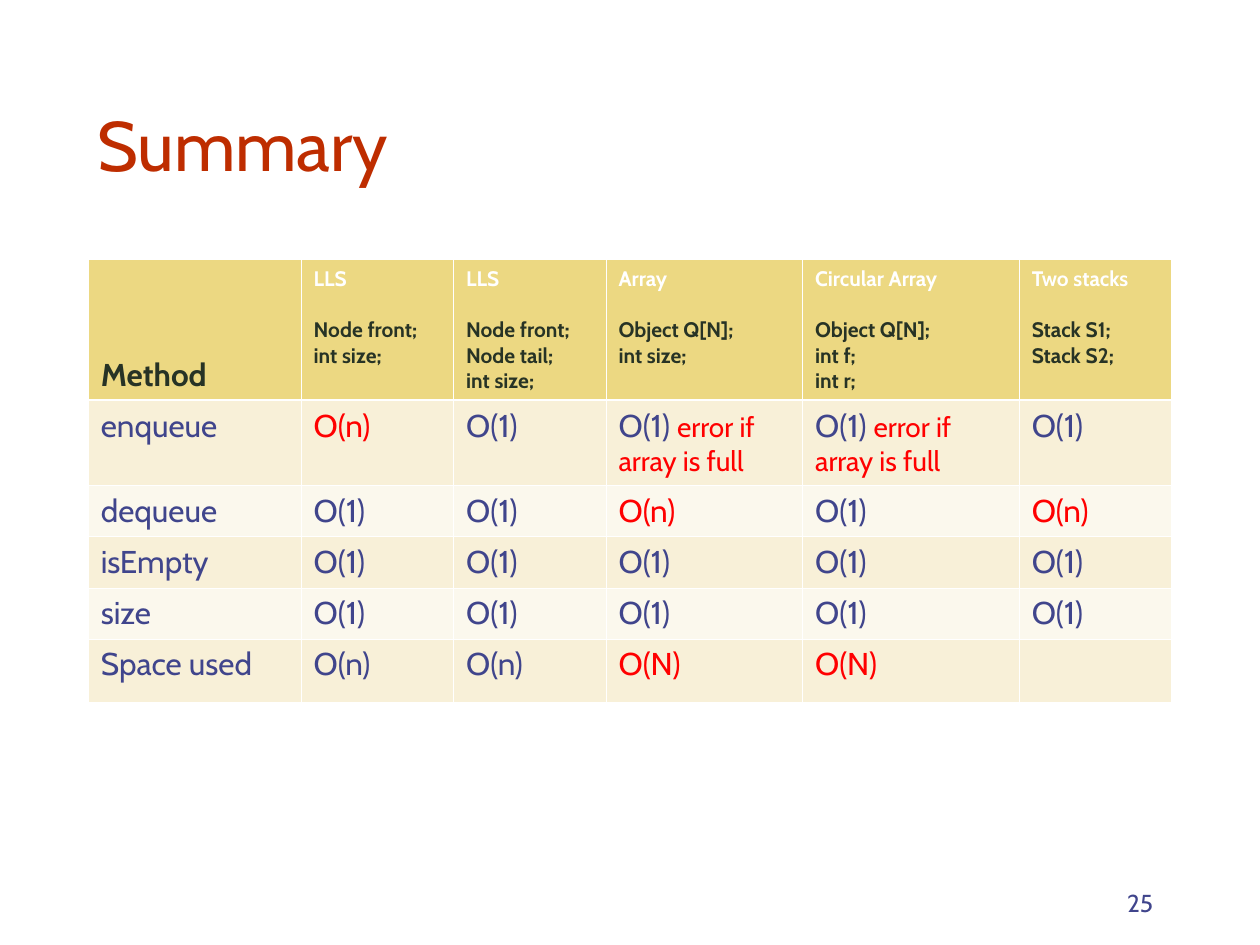
"""Build the summary slide comparing queue implementations."""
from lxml import etree
from pptx import Presentation
from pptx.dml.color import RGBColor
from pptx.enum.text import MSO_ANCHOR, PP_ALIGN
from pptx.oxml.ns import qn
from pptx.util import Inches, Pt

TOP, BOTTOM = MSO_ANCHOR.TOP, MSO_ANCHOR.BOTTOM
LEFT, RIGHT = PP_ALIGN.LEFT, PP_ALIGN.RIGHT

WHITE = RGBColor(0xFF, 0xFF, 0xFF)
RUST = RGBColor(0xBE, 0x2D, 0x00)
DARK = RGBColor(0x27, 0x33, 0x25)
INDIGO = RGBColor(0x40, 0x45, 0x8C)
RED = RGBColor(0xFF, 0x00, 0x00)
GOLD = RGBColor(0xEC, 0xD8, 0x82)
SAND = RGBColor(0xF8, 0xF0, 0xD8)
CREAM = RGBColor(0xFB, 0xF8, 0xED)

FONT = "Cabin"
THIN, THICK = 0.45, 1.47
HEADER_GAP = Pt(14.6)
COLUMN_WIDTHS = [1.69, 1.21, 1.21, 1.56, 1.72, 1.21]
ROW_HEIGHTS = [1.1, 0.67, 0.4, 0.41, 0.4, 0.5]

HEADERS = [
    ("LLS", ["Node front;", "int size;"]),
    ("LLS", ["Node front;", "Node tail;", "int size;"]),
    ("Array", ["Object Q[N];", "int size;"]),
    ("Circular Array", ["Object Q[N];", "int f;", "int r;"]),
    ("Two stacks", ["Stack S1;", "Stack S2;"]),
]
FULL_NOTE = "error if array is full"
CONSTANT = ("O(1)", INDIGO)
LINEAR = ("O(n)", INDIGO)
SLOW = ("O(n)", RED)
CAPACITY = ("O(N)", RED)
LIMITED = ("O(1) ", INDIGO, FULL_NOTE)
METHODS = [
    ("enqueue", [SLOW, CONSTANT, LIMITED, LIMITED, CONSTANT]),
    ("dequeue", [CONSTANT, CONSTANT, SLOW, CONSTANT, SLOW]),
    ("isEmpty", [CONSTANT] * 5),
    ("size", [CONSTANT] * 5),
    ("Space used", [LINEAR, LINEAR, CAPACITY, CAPACITY]),
]


def add_span(para, text, size, color, bold=False):
    """Append one formatted run to a paragraph."""
    span = para.add_run()
    span.text = text
    formats = {"name": FONT, "size": Pt(size), "bold": bold}
    for name, value in formats.items():
        setattr(span.font, name, value)
    span.font.color.rgb = color


def fill_box(box, text, size, color, align):
    """Put one line of text at the bottom of a box."""
    frame = box.text_frame
    formats = {
        "word_wrap": True,
        "vertical_anchor": BOTTOM,
        "margin_left": Inches(0.1),
        "margin_right": Inches(0.1),
        "margin_top": Inches(0.05),
        "margin_bottom": Inches(0.05),
    }
    for name, value in formats.items():
        setattr(frame, name, value)
    para = frame.paragraphs[0]
    para.alignment = align
    add_span(para, text, size, color)


def add_title(page, text):
    """Place and fill the title placeholder."""
    title = page.shapes.title
    place = {"left": 0.67, "top": 0.67, "width": 8.5, "height": 0.85}
    for name, value in place.items():
        setattr(title, name, Inches(value))
    fill_box(title, text, 40, RUST, LEFT)


def add_page_number(page, number):
    """Add the page number at the lower right."""
    box = page.shapes.add_textbox(Inches(7.17), Inches(6.83), Inches(2.08), Inches(0.5))
    fill_box(box, number, 14, INDIGO, RIGHT)


def style_cell(cell, fill, borders):
    """Set the fill and the white borders of a cell."""
    cell.fill.solid()
    cell.fill.fore_color.rgb = fill
    properties = cell._tc.get_or_add_tcPr()
    for index, (side, width) in enumerate(borders.items()):
        line = etree.Element(qn(f"a:ln{side}"), w=str(Pt(width)))
        solid = etree.SubElement(line, qn("a:solidFill"))
        etree.SubElement(solid, qn("a:srgbClr"), val=str(WHITE))
        properties.insert(index, line)


def fill_header(cell, heading, fields):
    """Write a heading and, after a gap, its field declarations."""
    frame = cell.text_frame
    add_span(frame.paragraphs[0], heading, 12, WHITE, True)
    for index, field in enumerate(fields):
        para = frame.add_paragraph()
        if index == 0:
            para.space_before = HEADER_GAP
        add_span(para, field, 12, DARK, True)


def fill_cost(cell, cost, color, note=None):
    """Write a running time with an optional smaller note."""
    para = cell.text_frame.paragraphs[0]
    add_span(para, cost, 18, color)
    if note:
        add_span(para, note, 16, RED)


def add_summary_table(page):
    """Add the table of methods and their running times."""
    table = page.shapes.add_table(
        len(ROW_HEIGHTS), len(COLUMN_WIDTHS), Inches(0.7), Inches(2.06),
        Inches(sum(COLUMN_WIDTHS)), Inches(sum(ROW_HEIGHTS)),
    ).table
    for column, width in zip(table.columns, COLUMN_WIDTHS):
        column.width = Inches(width)
    for index, (row, height) in enumerate(zip(table.rows, ROW_HEIGHTS)):
        row.height = Inches(height)
        fill = GOLD if index == 0 else SAND if index % 2 else CREAM
        borders = {
            "L": THIN,
            "R": THIN,
            "T": THICK if index == 1 else THIN,
            "B": THICK if index == 0 else THIN,
        }
        for cell in row.cells:
            style_cell(cell, fill, borders)
            cell.vertical_anchor = TOP

    corner = table.cell(0, 0)
    corner.vertical_anchor = BOTTOM
    add_span(corner.text_frame.paragraphs[0], "Method", 18, DARK, True)
    for column, (heading, fields) in enumerate(HEADERS, 1):
        fill_header(table.cell(0, column), heading, fields)
    for row, (method, costs) in enumerate(METHODS, 1):
        for column, cost in enumerate([(method, INDIGO), *costs]):
            fill_cost(table.cell(row, column), *cost)


def main():
    """Build and save the deck."""
    deck = Presentation()
    deck.slide_width, deck.slide_height = Inches(10), Inches(7.5)
    page = deck.slides.add_slide(deck.slide_layouts[5])
    add_title(page, "Summary")
    add_summary_table(page)
    add_page_number(page, "25")
    deck.save("out.pptx")


if __name__ == "__main__":
    main()
